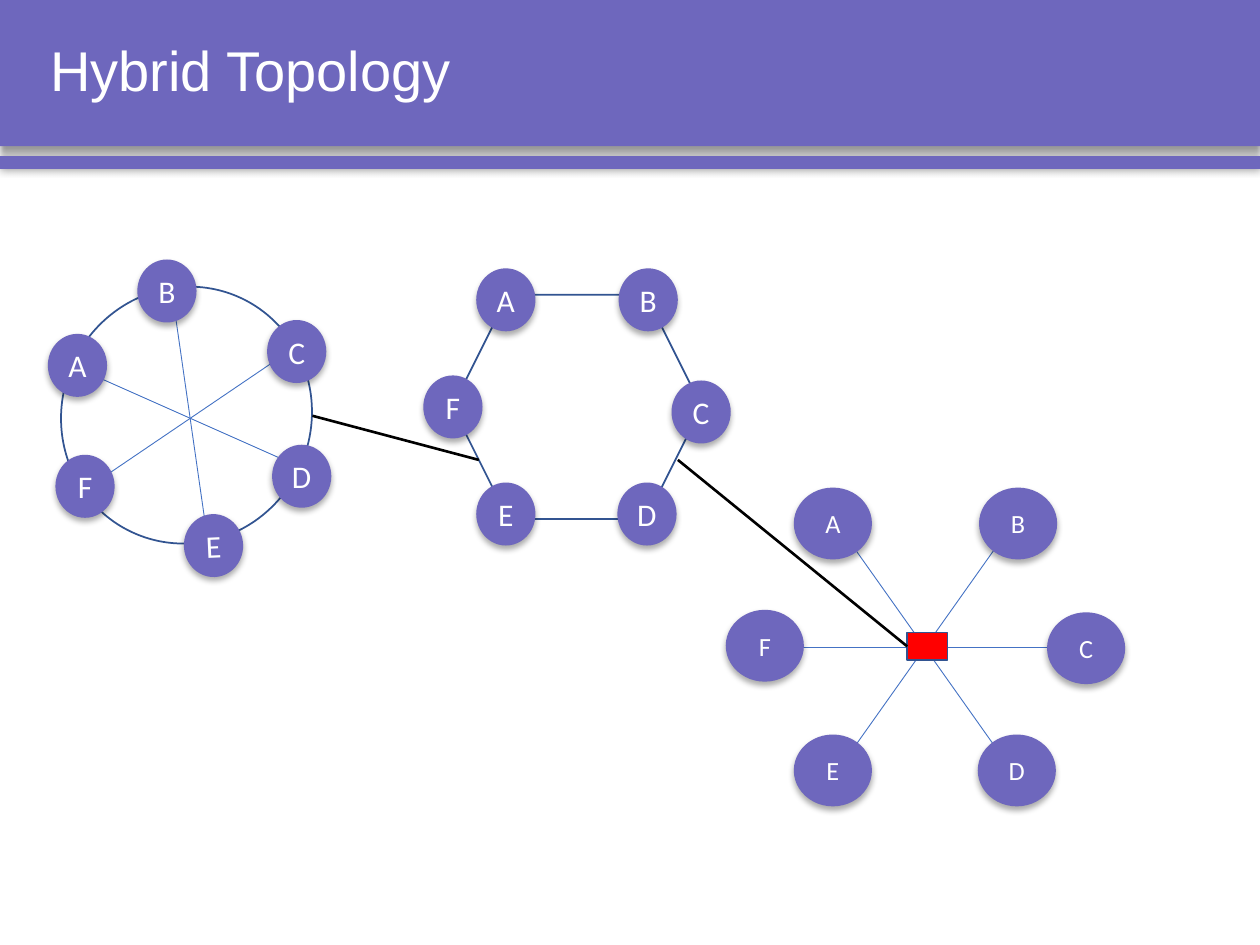
from dataclasses import dataclass

import pptx
import pptx.dml.color
import pptx.enum.shapes
import pptx.enum.text
import pptx.oxml
import pptx.oxml.ns
import pptx.util
from pptx.util import Inches

PURPLE = pptx.dml.color.RGBColor(0x6E, 0x67, 0xBD)
BLUE = pptx.dml.color.RGBColor(0x44, 0x72, 0xC4)
NAVY = pptx.dml.color.RGBColor(0x32, 0x54, 0x91)
RED = pptx.dml.color.RGBColor(0xFF, 0x00, 0x00)
BLACK = pptx.dml.color.RGBColor(0x00, 0x00, 0x00)
WHITE = pptx.dml.color.RGBColor(0xFF, 0xFF, 0xFF)

SHAPES = pptx.enum.shapes.MSO_SHAPE
MIDDLE = pptx.enum.text.MSO_ANCHOR.MIDDLE
CENTER = pptx.enum.text.PP_ALIGN.CENTER


@dataclass
class Shadow:
    opacity: int
    blur: float
    distance: float


@dataclass
class Node:
    letter: str
    left: float
    top: float
    rotation: float = 0


@dataclass
class Link:
    start: tuple[float, float]
    end: tuple[float, float]


@dataclass
class Network:
    links: list[Link]
    nodes: list[Node]
    node_width: float
    node_height: float
    letter_size: float


BANNER_SHADOW = Shadow(40, 4, 3)
STRIPE_SHADOW = Shadow(40, 5, 0)
NODE_SHADOW = Shadow(32, 3.5, 2.2)

RING = Network(
    [Link((1.66, 4.37), (1.36, 2.28)),
     Link((0.64, 3.91), (2.38, 2.73)),
     Link((2.41, 3.72), (0.61, 2.92))],
    [Node("C", 2.12, 2.54), Node("D", 2.16, 3.53), Node("E", 1.46, 4.08, 357.3),
     Node("B", 1.09, 2.06), Node("F", 0.44, 3.61), Node("A", 0.38, 2.65)],
    0.47, 0.5, 18)

HEXAGON = Network(
    [],
    [Node("B", 4.91, 2.13), Node("C", 5.33, 3.02), Node("D", 4.9, 3.83),
     Node("A", 3.78, 2.13), Node("E", 3.78, 3.83), Node("F", 3.36, 2.98)],
    0.47, 0.5, 18)

STAR = Network(
    [Link((8.07, 6.17), (6.61, 4.11)),
     Link((6.61, 6.17), (8.07, 4.11)),
     Link((8.63, 5.14), (6.06, 5.14))],
    [Node("D", 7.76, 5.83), Node("A", 6.3, 3.87), Node("E", 6.3, 5.83),
     Node("F", 5.76, 4.84), Node("B", 7.77, 3.87), Node("C", 8.31, 4.86)],
    0.62, 0.57, 15)


def cast_shadow(shape, shadow: Shadow) -> None:
    shape.shadow.inherit = False
    effects = shape._element.spPr.find(pptx.oxml.ns.qn("a:effectLst"))
    effects.append(pptx.oxml.parse_xml(
        f'<a:outerShdw {pptx.oxml.ns.nsdecls("a")} '
        f'blurRad="{pptx.util.Pt(shadow.blur)}" dist="{pptx.util.Pt(shadow.distance)}" '
        f'dir="5400000" algn="ctr" rotWithShape="0"><a:srgbClr val="000000">'
        f'<a:alpha val="{shadow.opacity * 1000}"/></a:srgbClr></a:outerShdw>'))


def draw_shape(slide, kind, left: float, top: float, width: float, height: float,
               fill=None, outline=None, shadow: Shadow | None = None, rotation: float = 0):
    shape = slide.shapes.add_shape(
        kind, Inches(left), Inches(top), Inches(width), Inches(height))
    shape.rotation = rotation
    shape.shadow.inherit = False
    if fill is None:
        shape.fill.background()
    else:
        shape.fill.solid()
        shape.fill.fore_color.rgb = fill
    if outline is None:
        shape.line.fill.background()
    else:
        shape.line.color.rgb = outline
        shape.line.width = pptx.util.Pt(1)
    if shadow:
        cast_shadow(shape, shadow)
    return shape


def write(paragraph, text: str, font: str, size: float) -> None:
    run = paragraph.add_run()
    run.text = text
    run.font.name = font
    run.font.size = pptx.util.Pt(size)
    run.font.color.rgb = WHITE


def draw_link(slide, link: Link, color, weight: float):
    connector = slide.shapes.add_connector(
        pptx.enum.shapes.MSO_CONNECTOR.STRAIGHT,
        *(Inches(value) for value in (*link.start, *link.end)))
    connector.line.color.rgb = color
    connector.line.width = pptx.util.Pt(weight)
    connector._element.spPr.append(
        pptx.oxml.parse_xml(f'<a:effectLst {pptx.oxml.ns.nsdecls("a")}/>'))
    return connector


def draw_links(slide, network: Network) -> None:
    for link in network.links:
        draw_link(slide, link, BLUE, 0.5)


def draw_nodes(slide, network: Network) -> None:
    for node in network.nodes:
        circle = draw_shape(slide, SHAPES.OVAL, node.left, node.top,
                            network.node_width, network.node_height,
                            PURPLE, shadow=NODE_SHADOW, rotation=node.rotation)
        frame = circle.text_frame
        frame.margin_left = frame.margin_right = Inches(0)
        frame.margin_top = frame.margin_bottom = Inches(0)
        frame.vertical_anchor = MIDDLE
        letter = frame.paragraphs[0]
        letter.alignment = CENTER
        write(letter, node.letter, "Calibri", network.letter_size)


def draw_heading(slide) -> None:
    draw_shape(slide, SHAPES.RECTANGLE, 0, 0, 10, 1.16, PURPLE, shadow=BANNER_SHADOW)
    draw_shape(slide, SHAPES.RECTANGLE, 0, 1.24, 10, 0.1, PURPLE, shadow=STRIPE_SHADOW)
    title = slide.shapes.add_textbox(Inches(0.3), Inches(0), Inches(9.46), Inches(1.16))
    title.text_frame.word_wrap = True
    title.text_frame.vertical_anchor = MIDDLE
    heading = title.text_frame.paragraphs[0]
    heading.line_spacing = 0.9
    write(heading, "Hybrid Topology", "Arial", 32)


def main() -> None:
    deck = pptx.Presentation()
    deck.slide_width = Inches(10)
    deck.slide_height = Inches(7.5)
    slide = deck.slides.add_slide(deck.slide_layouts[6])

    draw_heading(slide)

    draw_links(slide, RING)
    draw_shape(slide, SHAPES.OVAL, 0.49, 2.27, 1.98, 2.05, outline=NAVY, rotation=23.9)
    draw_nodes(slide, RING)

    draw_shape(slide, SHAPES.HEXAGON, 3.59, 2.34, 1.98, 1.78, outline=NAVY)
    draw_nodes(slide, HEXAGON)
    draw_link(slide, Link((2.48, 3.3), (3.8, 3.65)), BLACK, 1.5)

    draw_links(slide, STAR)
    draw_nodes(slide, STAR)
    hub = draw_shape(slide, SHAPES.RECTANGLE, 7.2, 5.02, 0.32, 0.22, RED, NAVY)
    backbone = draw_link(slide, Link((5.38, 3.65), (7.2, 5.13)), BLACK, 1.5)
    backbone.end_connect(hub, 1)

    deck.save("out.pptx")


if __name__ == "__main__":
    main()
